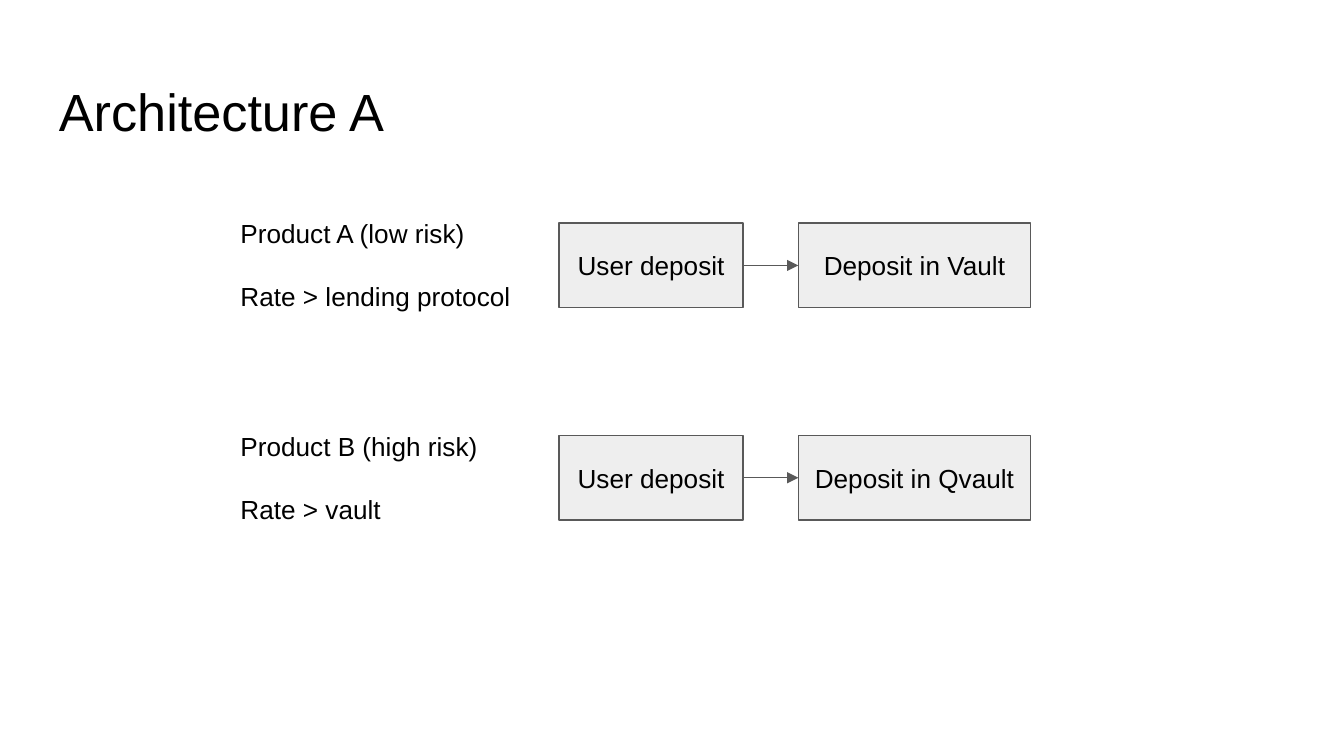
from pptx import Presentation
from pptx.dml.color import RGBColor
from pptx.enum.shapes import MSO_CONNECTOR as Conn, MSO_SHAPE as Shape
from pptx.enum.text import MSO_ANCHOR as Anchor, PP_ALIGN as Align
from pptx.oxml.ns import qn
from pptx.util import Inches, Pt
from lxml.etree import SubElement as sub

# Content: notes beside each flow, then its steps
TITLE = "Architecture A"
FLOWS = [
    (["Product A (low risk)", "Rate > lending protocol"],
     ["User deposit", "Deposit in Vault"]),
    (["Product B (high risk)", "Rate > vault"],
     ["User deposit", "Deposit in Qvault"]),
]

# Style and layout
BLACK = RGBColor(0x00, 0x00, 0x00)
GREY = RGBColor(0x59, 0x59, 0x59)
PALE = RGBColor(0xEE, 0xEE, 0xEE)
FONT = "Arial"
WIDE = 10
HIGH = WIDE * 9 / 16
TOP, PITCH = 1.66, 1.58
BOX_X, BOX_H, GAP = 4.16, 0.63, 0.41
WIDTHS = [1.37, 1.73]
NOTE_X, NOTE_W, NOTE_H, NOTE_UP = 1.69, 2.25, 1.19, 0.14


def write(shape, lines, size, align=Align.LEFT, anchor=Anchor.TOP, gap=0):
    frame = shape.text_frame
    frame.word_wrap = True
    frame.vertical_anchor = anchor
    frame.margin_left = frame.margin_right = Inches(0.1)
    frame.margin_top = frame.margin_bottom = Inches(0.1)
    for i, line in enumerate(lines):
        para = frame.add_paragraph() if i else frame.paragraphs[0]
        para.alignment = align
        para.space_before = Pt(gap if i else 0)
        run = para.add_run()
        run.text = line
        run.font.name = FONT
        run.font.size = Pt(size)
        run.font.color.rgb = BLACK


def add_text(slide, x, y, w, h, lines, size, gap=0):
    box = slide.shapes.add_textbox(Inches(x), Inches(y), Inches(w), Inches(h))
    write(box, lines, size, gap=gap)


def add_step(slide, x, y, w, label):
    box = slide.shapes.add_shape(Shape.RECTANGLE, Inches(x), Inches(y),
                                 Inches(w), Inches(BOX_H))
    box.shadow.inherit = False
    box.fill.solid()
    box.fill.fore_color.rgb = PALE
    box.line.color.rgb = GREY
    box.line.width = Pt(0.75)
    write(box, [label], 14, Align.CENTER, Anchor.MIDDLE)
    return box


def add_arrow(slide, start, end):
    link = slide.shapes.add_connector(Conn.STRAIGHT, 0, 0, 0, 0)
    link.begin_connect(start, 3)
    link.end_connect(end, 1)
    link.line.color.rgb = GREY
    link.line.width = Pt(0.75)
    line = link._element.spPr.find(qn("a:ln"))
    sub(line, qn("a:tailEnd"), type="triangle")
    sub(link._element.spPr, qn("a:effectLst"))


def main():
    deck = Presentation()
    deck.slide_width, deck.slide_height = Inches(WIDE), Inches(HIGH)
    slide = deck.slides.add_slide(deck.slide_layouts[6])

    # Title
    add_text(slide, 0.34, 0.49, 9.32, 0.63, [TITLE], 28)

    # One row per product
    for row, (notes, steps) in enumerate(FLOWS):
        y = TOP + row * PITCH
        add_text(slide, NOTE_X, y - NOTE_UP, NOTE_W, NOTE_H, notes, 14, 17)
        x, last = BOX_X, None
        for label, w in zip(steps, WIDTHS):
            box = add_step(slide, x, y, w, label)
            if last is not None:
                add_arrow(slide, last, box)
            x, last = x + w + GAP, box

    deck.save("out.pptx")


if __name__ == "__main__":
    main()
